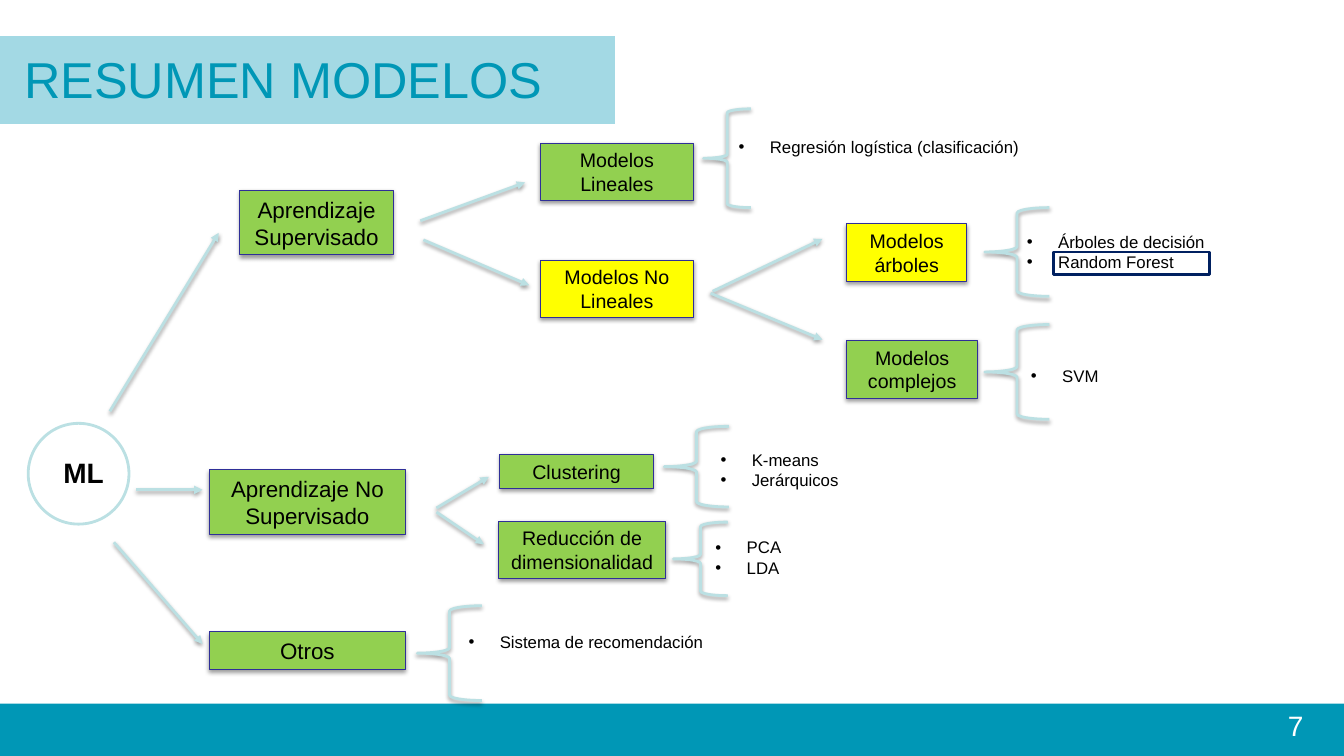
from lxml import etree
from pptx import Presentation
from pptx import util as u
from pptx.dml.color import RGBColor
from pptx.enum import shapes, text
from pptx.oxml import ns

CELL = 0.1
TEAL, PALE, GREEN, YELLOW = "0097B6", "BBE0E3", "92D050", "FFFF00"
BLACK, WHITE, INDIGO, NAVY = "000000", "FFFFFF", "2F2F98", "002060"
KIND = shapes.MSO_SHAPE
ALIGN = text.PP_ALIGN

STEPS = [
    ("Aprendizaje Supervisado", 23.8, 18.9, 15.2, 6.4, GREEN, 16),
    ("Aprendizaje No Supervisado", 20.8, 46.6, 19.4, 6.4, GREEN, 16),
    ("Otros", 20.8, 62.7, 19.4, 3.7, GREEN, 16),
    ("Modelos Lineales", 53.6, 14.2, 15.2, 5.7, GREEN, 14),
    ("Modelos No Lineales", 53.6, 25.8, 15.2, 5.7, YELLOW, 14),
    ("Modelos árboles", 84, 22.2, 11.9, 5.7, YELLOW, 14),
    ("Modelos complejos", 84, 33.8, 13, 5.7, GREEN, 14),
    ("Clustering", 49.6, 45.1, 15.2, 3.4, GREEN, 14),
    ("Reducción de dimensionalidad", 49.5, 51.7, 16.5, 5.7, GREEN, 14),
]
BRACES = [
    (69.8, 10.8, 4.7, 9.8),
    (97.7, 20.6, 6.4, 8.8),
    (97.7, 32.2, 6.4, 9.4),
    (65.9, 42.3, 6.4, 8),
    (66.8, 51.8, 5.4, 7.3),
    (41.4, 60.1, 6.4, 9.4),
]
ARROWS = [
    (10.9, 40.8, 21.7, 23.1),
    (13.5, 48.6, 20.1, 48.6),
    (11.3, 53.8, 20.1, 63.9),
    (41.7, 21.9, 52.1, 18.1),
    (42, 23.8, 52.5, 28.3),
    (70.7, 28.9, 81.6, 23.7),
    (70.5, 29.1, 81.6, 33.7),
    (43.3, 50.4, 48.5, 47.3),
    (43.3, 50.8, 48, 54),
]
LISTS = [
    (["Regresión logística (clasificación)"], 72.3, 13.1),
    (["Árboles de decisión", "Random Forest"], 100.9, 22.5),
    (["SVM"], 101.3, 35.8),
    (["K-means", "Jerárquicos"], 70.5, 44.1),
    (["PCA", "LDA"], 70, 52.8),
    (["Sistema de recomendación"], 45.5, 62.2),
]


def cells(*counts):
    return [u.Inches(count * CELL) for count in counts]


def colour(value):
    return RGBColor.from_string(value)


def add_xml(parent, tag, **attributes):
    child = etree.SubElement(parent, ns.qn(tag))
    for name, value in attributes.items():
        child.set(name, str(value))
    return child


def cast_shadow(shape):
    effects = add_xml(shape.element.spPr, "a:effectLst")
    shadow = add_xml(effects, "a:outerShdw", blurRad=u.Pt(3.1), dist=u.Pt(1.6),
                     dir=5400000, rotWithShape=0)
    tint = add_xml(shadow, "a:srgbClr", val=BLACK)
    add_xml(tint, "a:alpha", val=38000)


def write(shape, lines, size, ink=BLACK, align=ALIGN.LEFT, bold=False,
          anchor=text.MSO_ANCHOR.MIDDLE):
    frame = shape.text_frame
    frame.text = "\n".join(lines)
    frame.word_wrap = True
    frame.auto_size = text.MSO_AUTO_SIZE.NONE
    frame.vertical_anchor = anchor
    for para in frame.paragraphs:
        para.alignment = align
        for span in para.runs:
            span.font.size = u.Pt(size)
            span.font.name = "Arial"
            span.font.bold = bold
            span.font.color.rgb = colour(ink)


def add_figure(page, kind, place, fill=None, line=None, width=2, shadow=False):
    shape = page.shapes.add_shape(kind, *cells(*place))
    if fill:
        shape.fill.solid()
        shape.fill.fore_color.rgb = colour(fill)
    else:
        shape.fill.background()
    if line:
        shape.line.color.rgb = colour(line)
        shape.line.width = u.Pt(width)
    else:
        shape.line.fill.background()
    if shadow:
        cast_shadow(shape)
    else:
        shape.shadow.inherit = False
    return shape


def add_step(page, label, left, top, width, height, fill, size):
    box = add_figure(page, KIND.RECTANGLE, (left, top, width, height),
                     fill, INDIGO, 0.75, True)
    write(box, [label], size, align=ALIGN.CENTER)


def add_arrow(page, *ends):
    arrow = page.shapes.add_connector(shapes.MSO_CONNECTOR.STRAIGHT, *cells(*ends))
    arrow.line.color.rgb = colour(PALE)
    arrow.line.width = u.Pt(2)
    add_xml(arrow.line._get_or_add_ln(), "a:tailEnd", type="triangle")
    cast_shadow(arrow)


def add_list(page, items, left, top):
    box = page.shapes.add_textbox(*cells(left, top, 32, 1 + 2 * len(items)))
    write(box, items, 12, anchor=text.MSO_ANCHOR.TOP)
    for para in box.text_frame.paragraphs:
        settings = para._p.get_or_add_pPr()
        settings.set("marL", str(u.Inches(0.31)))
        settings.set("indent", str(u.Inches(-0.31)))
        add_xml(settings, "a:buFont", typeface="Arial")
        add_xml(settings, "a:buChar", char="•")


def add_frame(page):
    add_figure(page, KIND.RECTANGLE, (0, 69.8, 133.33, 5.2), TEAL)
    band = add_figure(page, KIND.RECTANGLE, (0, 3.6, 61, 8.7), TEAL)
    tint = band.element.spPr.find(".//" + ns.qn("a:srgbClr"))
    add_xml(tint, "a:alpha", val=36000)
    title = page.shapes.title
    title.left, title.top, title.width, title.height = cells(1.4, 4.6, 58.2, 6.3)
    write(title, ["RESUMEN MODELOS"], 36, TEAL)
    band.element.addnext(title.element)
    number = page.shapes.add_textbox(*cells(107, 69.8, 23.3, 5.2))
    write(number, ["7"], 20, WHITE, ALIGN.RIGHT, anchor=text.MSO_ANCHOR.TOP)


def main():
    deck = Presentation()
    deck.slide_width, deck.slide_height = cells(133.33, 75)
    page = deck.slides.add_slide(deck.slide_layouts.get_by_name("Title Only"))
    add_frame(page)
    add_figure(page, KIND.OVAL, (2.8, 42, 10, 10), WHITE, PALE)
    root = add_figure(page, KIND.RECTANGLE, (5.3, 44.7, 6.5, 4.4), WHITE, WHITE)
    write(root, ["ML"], 20, bold=True)
    for step in STEPS:
        add_step(page, *step)
    for place in BRACES:
        add_figure(page, KIND.LEFT_BRACE, place, line=PALE, shadow=True)
    for ends in ARROWS:
        add_arrow(page, *ends)
    for items, left, top in LISTS:
        add_list(page, items, left, top)
    add_figure(page, KIND.RECTANGLE, (104.5, 25, 15.5, 2.2), line=NAVY)
    deck.save("out.pptx")


main()
